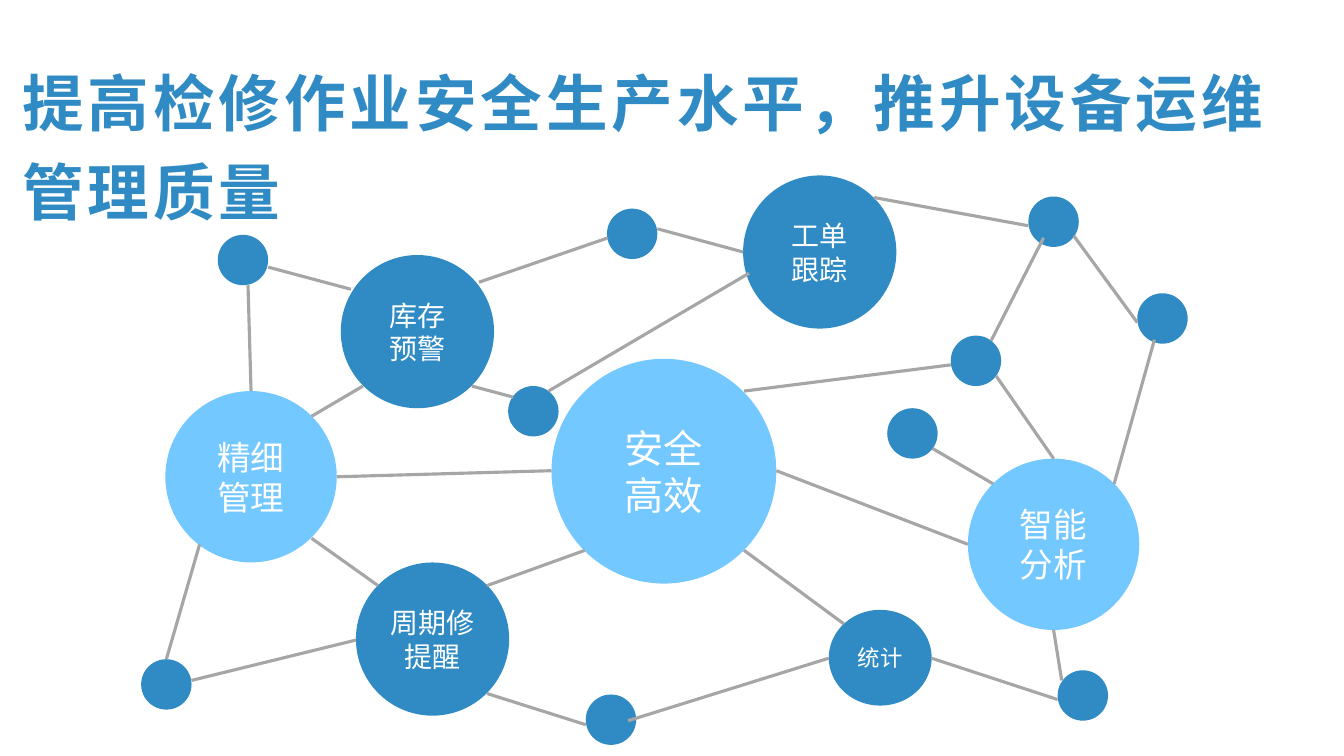
from pptx import Presentation
from pptx.util import Inches, Pt
from pptx.dml.color import RGBColor
from pptx.enum.shapes import MSO_CONNECTOR, MSO_SHAPE
from pptx.enum.text import MSO_ANCHOR, PP_ALIGN
from pptx.oxml.ns import qn
from lxml import etree

OVAL = MSO_SHAPE.OVAL
LINE = MSO_CONNECTOR.STRAIGHT
MID = MSO_ANCHOR.MIDDLE
MID_X = PP_ALIGN.CENTER
HEX = {"dark": "308BC4", "light": "73C8FF", "grey": "A6A6A6", "white": "FFFFFF"}
RGB = {name: RGBColor.from_string(code) for name, code in HEX.items()}

deck = Presentation()
deck.slide_width, deck.slide_height = Inches(13.33), Inches(7.5)
slide = deck.slides.add_slide(deck.slide_layouts[6])
shapes = slide.shapes


def add_node(x, y, w, h, tone):
    node = shapes.add_shape(OVAL, Inches(x), Inches(y), Inches(w), Inches(h))
    node.shadow.inherit = False
    node.fill.solid()
    node.fill.fore_color.rgb = RGB[tone]
    node.line.fill.background()
    return node


def add_text(para, text, style):
    run = para.add_run()
    run.text = text
    for key, value in style.items():
        setattr(run.font, key, value)
    return run


dots = [
    (10.2, 1.95), (5.81, 6.89), (8.8, 4.05), (1.4, 6.54), (2.16, 2.33),
    (5.04, 3.83), (9.43, 3.33), (11.28, 2.91), (10.49, 6.65), (6.02, 2.07),
]
for x, y in dots:
    add_node(x, y, 0.5, 0.5, "dark")

topics = [
    (5.47, 3.56, 2.23, 2.23, "light", 28, ["安全", "高效"]),
    (3.38, 2.53, 1.52, 1.52, "dark", 20, ["库存", "预警"]),
    (1.64, 3.88, 1.7, 1.7, "light", 24, ["精细", "管理"]),
    (7.37, 1.74, 1.52, 1.52, "dark", 20, ["工单", "跟踪"]),
    (3.53, 5.58, 1.52, 1.52, "dark", 20, ["周期修", "提醒"]),
    (9.6, 4.55, 1.7, 1.7, "light", 24, ["智能", "分析"]),
    (8.22, 6.05, 1.02, 0.95, "dark", 16, ["统计"]),
]
frame_style = {
    "margin_left": 0, "margin_right": 0, "margin_top": 0, "margin_bottom": 0,
    "vertical_anchor": MID, "word_wrap": True,
}
for x, y, w, h, tone, size, rows in topics:
    frame = add_node(x, y, w, h, tone).text_frame
    for key, value in frame_style.items():
        setattr(frame, key, value)
    for i, row in enumerate(rows):
        para = frame.add_paragraph() if i else frame.paragraphs[0]
        para.alignment = MID_X
        run = add_text(para, row, {"name": "Noto Sans CJK SC", "size": Pt(size)})
        run.font.color.rgb = RGB["white"]

links = [
    (9.6, 5.4, 7.7, 4.67), (3.34, 4.73, 5.47, 4.67), (10.45, 4.55, 9.88, 3.73),
    (10.53, 6.75, 10.45, 6.25), (3.09, 4.13, 3.6, 3.83), (3.75, 5.81, 3.09, 5.34),
    (9.25, 4.45, 9.85, 4.8), (2.46, 2.83, 2.49, 3.88), (8.37, 6.19, 7.38, 5.46),
    (10.2, 2.24, 8.67, 1.96), (11.28, 3.2, 10.65, 2.34), (9.43, 3.62, 7.38, 3.88),
    (5.09, 3.94, 4.68, 3.83), (1.9, 6.75, 3.53, 6.35), (5.81, 7.19, 4.83, 6.88),
    (7.37, 2.5, 6.52, 2.27), (10.49, 6.94, 9.24, 6.53), (11.45, 3.37, 11.05, 4.8),
    (5.8, 5.46, 4.83, 5.81), (6.03, 2.36, 4.75, 2.8), (8.22, 6.53, 6.23, 7.15),
    (1.98, 5.4, 1.65, 6.54), (5.44, 3.88, 7.43, 2.71), (10.35, 2.36, 9.83, 3.38),
    (3.48, 2.87, 2.66, 2.65),
]
for ends in links:
    link = shapes.add_connector(LINE, *[Inches(v) for v in ends])
    link.line.color.rgb = RGB["grey"]
    link.line.width = Pt(2.25)
    etree.SubElement(link._element.spPr, qn("a:effectLst"))

title = shapes.add_textbox(Inches(0.12), Inches(0.45), Inches(13.11), Inches(1.8))
title.text_frame.word_wrap = True
para = title.text_frame.paragraphs[0]
para.line_spacing = 1.2
run = add_text(
    para,
    "提高检修作业安全生产水平，推升设备运维管理质量",
    {"name": "Arial", "size": Pt(44), "bold": True},
)
run.font.color.rgb = RGB["dark"]
run._r.get_or_add_rPr().set("spc", "280")

deck.save("out.pptx")
